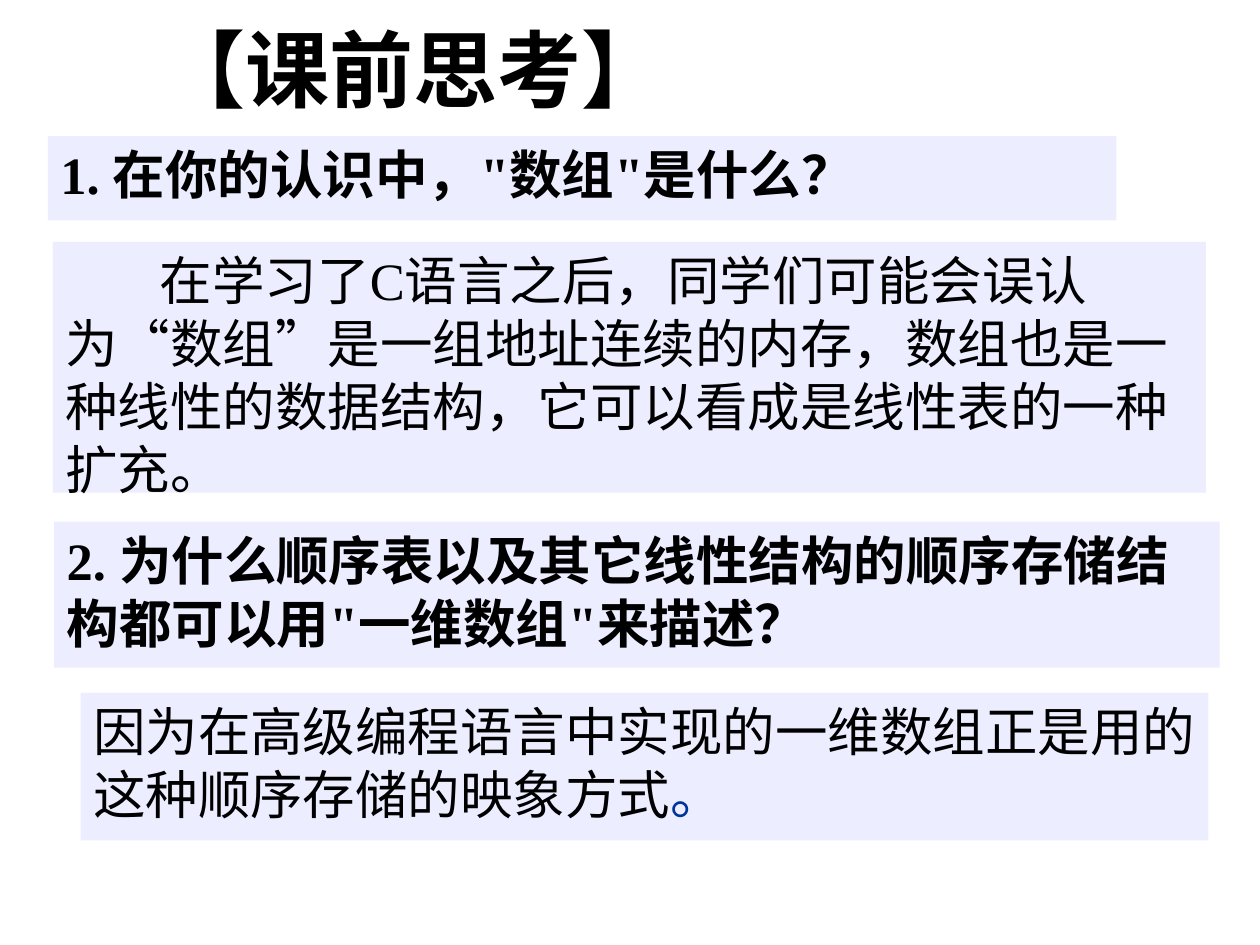
from dataclasses import dataclass

from pptx import Presentation
from pptx.dml.color import RGBColor
from pptx.enum.lang import MSO_LANGUAGE_ID
from pptx.enum.shapes import MSO_SHAPE
from pptx.enum.text import MSO_ANCHOR, MSO_AUTO_SIZE, PP_ALIGN
from pptx.slide import Slide
from pptx.text.text import Font
from pptx.util import Inches, Pt


@dataclass(frozen=True)
class Theme:
    font: str = "Times New Roman"
    ink: RGBColor = RGBColor(0x00, 0x00, 0x00)
    accent: RGBColor = RGBColor(0x00, 0x33, 0x99)
    panel: RGBColor = RGBColor(0xEC, 0xEE, 0xFF)
    title_size: Pt = Pt(48)
    panel_size: Pt = Pt(30)


@dataclass(frozen=True)
class Panel:
    left: float
    top: float
    width: float
    height: float
    wording: str
    is_question: bool = False
    first_indent: float = 0
    accent_ending: str = ""


THEME = Theme()
HEADING = "【课前思考】"
PANELS = [
    Panel(0.38, 1.08, 8.48, 0.67, '1. 在你的认识中，"数组"是什么？', is_question=True),
    Panel(
        0.42, 1.92, 9.15, 1.99,
        "在学习了C语言之后，同学们可能会误认为“数组”是一组地址连续的内存，"
        "数组也是一种线性的数据结构，它可以看成是线性表的一种扩充。",
        first_indent=0.75,
    ),
    Panel(
        0.43, 4.14, 9.25, 1.16,
        '2. 为什么顺序表以及其它线性结构的顺序存储结构都可以用"一维数组"来描述？',
        is_question=True,
    ),
    Panel(
        0.64, 5.5, 8.95, 1.17,
        "因为在高级编程语言中实现的一维数组正是用的这种顺序存储的映象方式",
        accent_ending="。",
    ),
]


def style_font(font: Font, size: Pt, color: RGBColor, bold: bool) -> None:
    font.name = THEME.font
    font.size = size
    font.bold = bold
    font.color.rgb = color
    font.language_id = MSO_LANGUAGE_ID.SIMPLIFIED_CHINESE


def draw_heading(slide: Slide) -> None:
    heading = slide.shapes.title
    heading.left, heading.top = Inches(0), Inches(0)
    heading.width, heading.height = Inches(6.57), Inches(1.08)
    frame = heading.text_frame
    frame.text = HEADING
    frame.auto_size = MSO_AUTO_SIZE.NONE
    frame.vertical_anchor = MSO_ANCHOR.MIDDLE
    paragraph = frame.paragraphs[0]
    paragraph.alignment = PP_ALIGN.CENTER
    style_font(paragraph.runs[0].font, THEME.title_size, THEME.ink, True)


def draw_panel(slide: Slide, panel: Panel) -> None:
    box = slide.shapes.add_shape(
        MSO_SHAPE.RECTANGLE,
        Inches(panel.left), Inches(panel.top),
        Inches(panel.width), Inches(panel.height),
    )
    box.shadow.inherit = False
    box.fill.solid()
    box.fill.fore_color.rgb = THEME.panel
    box.line.fill.background()
    frame = box.text_frame
    frame.word_wrap = True
    frame.vertical_anchor = MSO_ANCHOR.TOP
    frame.text = panel.wording
    paragraph = frame.paragraphs[0]
    paragraph.alignment = PP_ALIGN.LEFT
    if panel.first_indent:
        properties = paragraph._p.get_or_add_pPr()
        properties.set("marL", "0")
        properties.set("indent", str(Inches(panel.first_indent)))
    style_font(paragraph.runs[0].font, THEME.panel_size, THEME.ink, panel.is_question)
    if panel.accent_ending:
        ending = paragraph.add_run()
        ending.text = panel.accent_ending
        style_font(ending.font, THEME.panel_size, THEME.accent, panel.is_question)


def main() -> None:
    presentation = Presentation()
    presentation.slide_width = Inches(10)
    presentation.slide_height = Inches(7.5)
    slide = presentation.slides.add_slide(presentation.slide_layouts[5])
    draw_heading(slide)
    for panel in PANELS:
        draw_panel(slide, panel)
    presentation.save("out.pptx")


if __name__ == "__main__":
    main()
